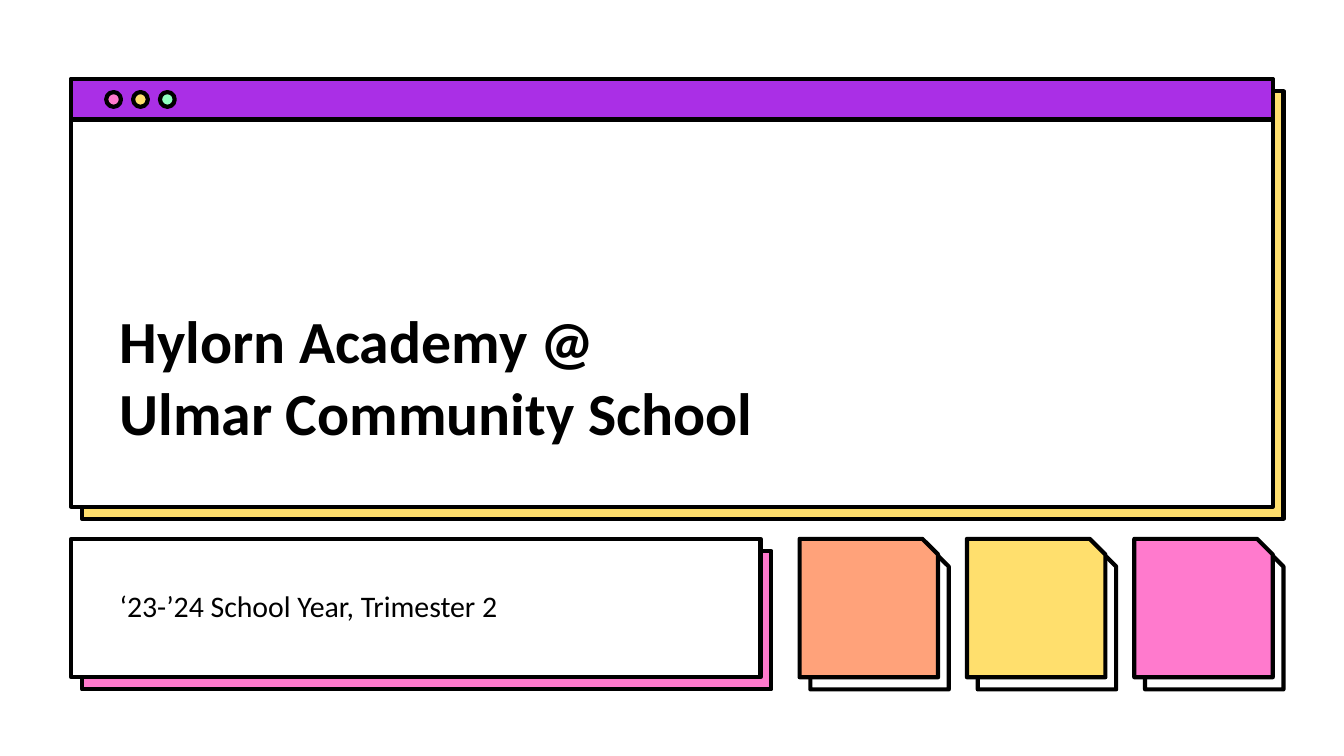
from pptx import Presentation
from pptx.dml.color import RGBColor
from pptx.enum import shapes, text
from pptx.util import Inches, Pt

THEME = {
    "font": "Calibri", "title": 32, "subtitle": 16, "line": 2.25,
    "ink": "000000", "paper": "FFFFFF", "purple": "AA2FE6", "pink": "FF7ACD",
    "yellow": "FFDF6D", "mint": "8FFFC1", "orange": "FFA27A",
}
SCHOOL = "Hylorn Academy @\vUlmar Community School"
TERM = "‘23-’24 School Year, Trimester 2"
BUTTONS = ["pink", "yellow", "mint"]
NOTES = ["orange", "yellow", "pink"]

SLIDE_WIDTH = 10
SLIDE_HEIGHT = SLIDE_WIDTH * 9 / 16
LEFT, TOP, WIDTH = 0.53, 0.59, 8.94
WINDOW_HEIGHT, BAR_HEIGHT = 3.18, 0.3
ROW_TOP, ROW_HEIGHT = 4.01, 1.03
PANEL_WIDTH = 5.13
OFFSET_X, OFFSET_Y = 0.08, 0.09  # shift of each backing shape
BUTTON_SIZE, BUTTON_LEFT, BUTTON_PITCH = 0.11, 0.79, 0.2
NOTE_LEFT, NOTE_CORNER = 5.95, 0.113
NOTE_PITCH = (LEFT + WIDTH - ROW_HEIGHT - NOTE_LEFT) / (len(NOTES) - 1)

RECT = shapes.MSO_SHAPE.RECTANGLE
OVAL = shapes.MSO_SHAPE.OVAL
SNIPPED = shapes.MSO_SHAPE.SNIP_1_RECTANGLE


def color(name):
    return RGBColor.from_string(THEME[name])


def outlined(slide, kind, box, fill):
    shape = slide.shapes.add_shape(kind, *map(Inches, box))
    shape.shadow.inherit = False
    shape.fill.solid()
    shape.fill.fore_color.rgb = color(fill)
    shape.line.color.rgb = color("ink")
    shape.line.width = Pt(THEME["line"])
    if kind == SNIPPED:
        shape.adjustments[0] = NOTE_CORNER


def backed(slide, kind, box, fill, backing):
    """Draw a shape in front of an offset shape of the same size."""
    left, top, width, height = box
    outlined(slide, kind, (left + OFFSET_X, top + OFFSET_Y, width, height), backing)
    outlined(slide, kind, box, fill)


def write(holder, words, box, role, anchor, bold):
    holder.left, holder.top, holder.width, holder.height = map(Inches, box)
    frame = holder.text_frame
    frame.text = words
    frame.word_wrap = True
    frame.auto_size = text.MSO_AUTO_SIZE.NONE
    frame.vertical_anchor = anchor
    frame.margin_left = frame.margin_right = Inches(0.1)
    frame.margin_top = frame.margin_bottom = Inches(0.1)
    paragraph = frame.paragraphs[0]
    paragraph.alignment = text.PP_ALIGN.LEFT
    paragraph.space_before = Pt(0)
    font = paragraph.font
    font.name, font.size, font.bold = THEME["font"], Pt(THEME[role]), bold
    font.color.rgb = color("ink")
    # Placeholders come first in the tree; bring them in front of the panels.
    holder.element.getparent().append(holder.element)


def main():
    prs = Presentation()
    prs.slide_width, prs.slide_height = Inches(SLIDE_WIDTH), Inches(SLIDE_HEIGHT)
    slide = prs.slides.add_slide(prs.slide_layouts[0])

    backed(slide, RECT, (LEFT, TOP, WIDTH, WINDOW_HEIGHT), "paper", "yellow")
    backed(slide, RECT, (LEFT, ROW_TOP, PANEL_WIDTH, ROW_HEIGHT), "paper", "pink")
    outlined(slide, RECT, (LEFT, TOP, WIDTH, BAR_HEIGHT), "purple")
    button_top = TOP + (BAR_HEIGHT - BUTTON_SIZE) / 2
    for i, fill in enumerate(BUTTONS):
        left = BUTTON_LEFT + i * BUTTON_PITCH
        outlined(slide, OVAL, (left, button_top, BUTTON_SIZE, BUTTON_SIZE), fill)
    for i, fill in enumerate(NOTES):
        left = NOTE_LEFT + i * NOTE_PITCH
        backed(slide, SNIPPED, (left, ROW_TOP, ROW_HEIGHT, ROW_HEIGHT), fill, "paper")

    write(slide.shapes.title, SCHOOL, (0.79, 1.24, 8.43, 2.19), "title",
          text.MSO_ANCHOR.BOTTOM, True)
    write(slide.placeholders[1], TERM, (0.79, 4.27, 4.54, 0.49), "subtitle",
          text.MSO_ANCHOR.TOP, False)
    prs.save("out.pptx")


if __name__ == "__main__":
    main()
